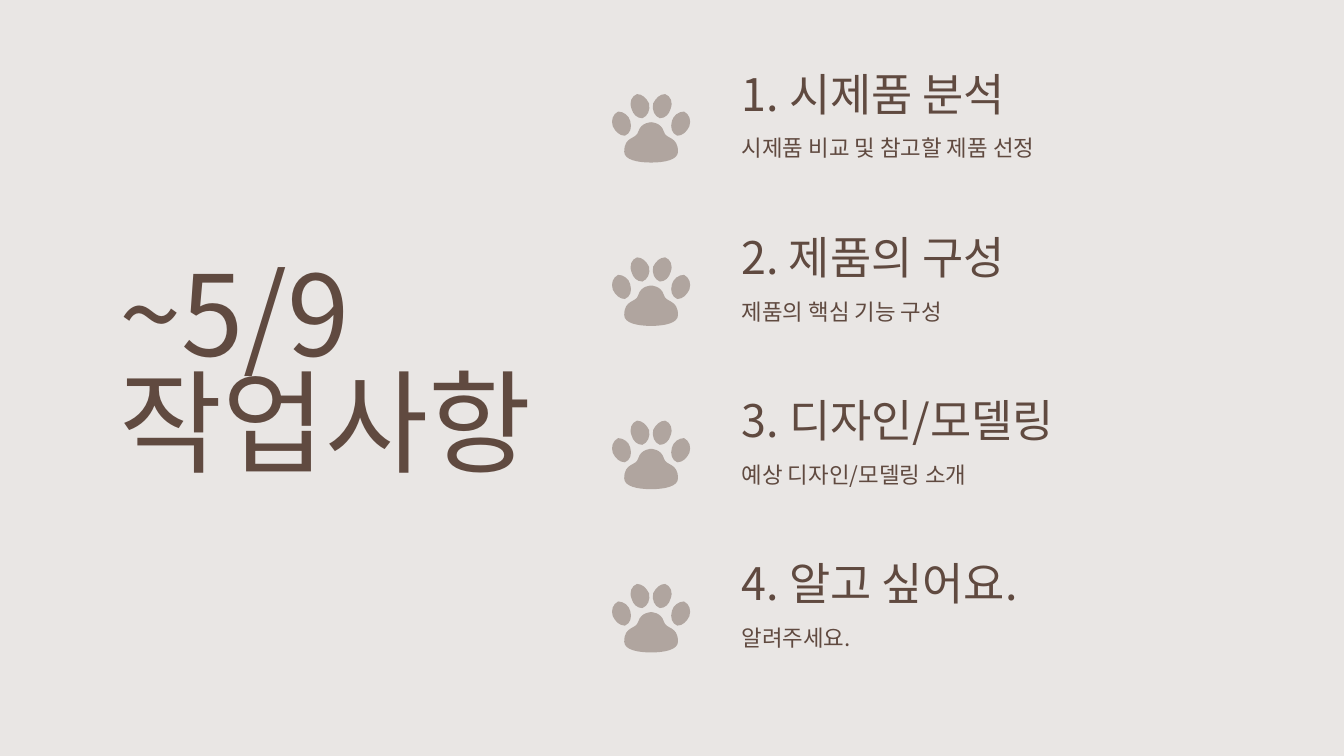
from lxml.etree import SubElement
from pptx import Presentation
from pptx.dml.color import RGBColor
from pptx.enum.text import MSO_ANCHOR, MSO_AUTO_SIZE, PP_ALIGN
from pptx.oxml.ns import qn
from pptx.util import Emu, Pt

PX = 4572  # EMU per px, 200 px to the inch
FONT = "Noto Sans CJK KR"
BACKGROUND = RGBColor(0xE9, 0xE6, 0xE4)
BROWN = RGBColor(0x60, 0x4A, 0x40)
TAUPE = RGBColor(0xB0, 0xA5, 0x9F)

TITLE = {"size": Pt(60), "line_spacing": 0.8, "anchor": MSO_ANCHOR.MIDDLE}
HEADING = {"size": Pt(24), "line_spacing": 0.8, "anchor": MSO_ANCHOR.TOP}
DETAIL = {"size": Pt(12), "space_after": Pt(16), "anchor": MSO_ANCHOR.TOP}

# Heading, heading width, detail
TASKS = [
    ("1. 시제품 분석", 730, "시제품 비교 및 참고할 제품 선정"),
    ("2. 제품의 구성", 686, "제품의 핵심 기능 구성"),
    ("3. 디자인/모델링", 758, "예상 디자인/모델링 소개"),
    ("4. 알고 싶어요.", 782, "알려주세요."),
]
FIRST_TOP, ROW_PITCH = 94, 243
TEXT_LEFT, DETAIL_WIDTH = 1084, 758
PAW_CENTER = 969

# Left half of the paw, measured from the top of its centre line:
# a start point, then two control points and an end point for each curve
PAD_HALF = [
    (0, 42),
    (0, 42), (-15, 42), (-19, 56),
    (-22, 68), (-40, 62), (-40, 86),
    (-40, 98), (-20, 102), (0, 102),
]
OUTER_TOE = [
    (-49, 26),
    (-57, 30), (-60, 39), (-57, 48),
    (-53, 56), (-47, 62), (-39, 62),
    (-31, 59), (-28, 50), (-31, 40),
    (-33, 32), (-41, 26), (-49, 26),
]
INNER_TOE = [
    (-21, 0),
    (-29, 3), (-33, 12), (-29, 22),
    (-27, 30), (-21, 36), (-13, 36),
    (-5, 33), (-1, 24), (-3, 14),
    (-7, 6), (-13, 0), (-21, 0),
]


def px(value):
    return Emu(value * PX)


def set_attributes(target, values):
    for name, value in values.items():
        setattr(target, name, value)


def place(shape, left, top, width, height):
    set_attributes(shape, {"left": px(left), "top": px(top),
                           "width": px(width), "height": px(height)})


def write(shape, text, style):
    frame = shape.text_frame
    frame.text = text
    set_attributes(frame, {
        "word_wrap": True, "auto_size": MSO_AUTO_SIZE.NONE,
        "vertical_anchor": style["anchor"],
        "margin_left": px(20), "margin_right": px(20),
        "margin_top": px(20), "margin_bottom": px(20),
    })
    paragraph = frame.paragraphs[0]
    spacing = {name: style[name] for name in ("line_spacing", "space_after")
               if name in style}
    set_attributes(paragraph, {"alignment": PP_ALIGN.LEFT, **spacing})
    for run in paragraph.runs:
        set_attributes(run.font, {"name": FONT, "size": style["size"]})
        run.font.color.rgb = BROWN
        SubElement(run.font._element, qn("a:ea"), typeface=FONT)


def add_text(slide, box, text, style):
    shape = slide.shapes.add_textbox(0, 0, 0, 0)
    place(shape, *box)
    write(shape, text, style)


def mirror(points):
    return [(-x, y) for x, y in reversed(points)]


def bend_lines(shape):
    """Turn each three line segments of a freeform into one cubic curve."""
    lines = list(shape._element.iter(qn("a:lnTo")))
    for index in range(0, len(lines), 3):
        curve, *controls = lines[index:index + 3]
        for control in controls:
            curve.append(control[0])
            control.getparent().remove(control)
        curve.tag = qn("a:cubicBezTo")


def add_curved_shape(group, points):
    builder = group.shapes.build_freeform(*points[0])
    builder.add_line_segments(points[1:], close=True)
    shape = builder.convert_to_shape()
    bend_lines(shape)
    shape.shadow.inherit = False
    shape.fill.solid()
    shape.fill.fore_color.rgb = TAUPE
    shape.line.fill.background()


def add_paw(slide, center, top):
    group = slide.shapes.add_group_shape()
    parts = [PAD_HALF + mirror(PAD_HALF)[1:]]
    for toe in (OUTER_TOE, INNER_TOE):
        parts += [toe, mirror(toe)]
    for part in parts:
        add_curved_shape(group, [(px(center + x), px(top + y))
                                 for x, y in part])


def main():
    presentation = Presentation()
    presentation.slide_width, presentation.slide_height = px(2000), px(1125)
    slide = presentation.slides.add_slide(presentation.slide_layouts[5])
    slide.background.fill.solid()
    slide.background.fill.fore_color.rgb = BACKGROUND

    title = slide.shapes.title
    place(title, 158, 398, 686, 330)
    write(title, "~5/9\v작업사항", TITLE)

    for row, (heading, width, detail) in enumerate(TASKS):
        top = FIRST_TOP + row * ROW_PITCH
        add_paw(slide, PAW_CENTER, top + 46)
        add_text(slide, (TEXT_LEFT, top, width, 102), heading, HEADING)
        add_text(slide, (TEXT_LEFT, top + 86, DETAIL_WIDTH, 86), detail, DETAIL)

    presentation.save("out.pptx")


if __name__ == "__main__":
    main()
